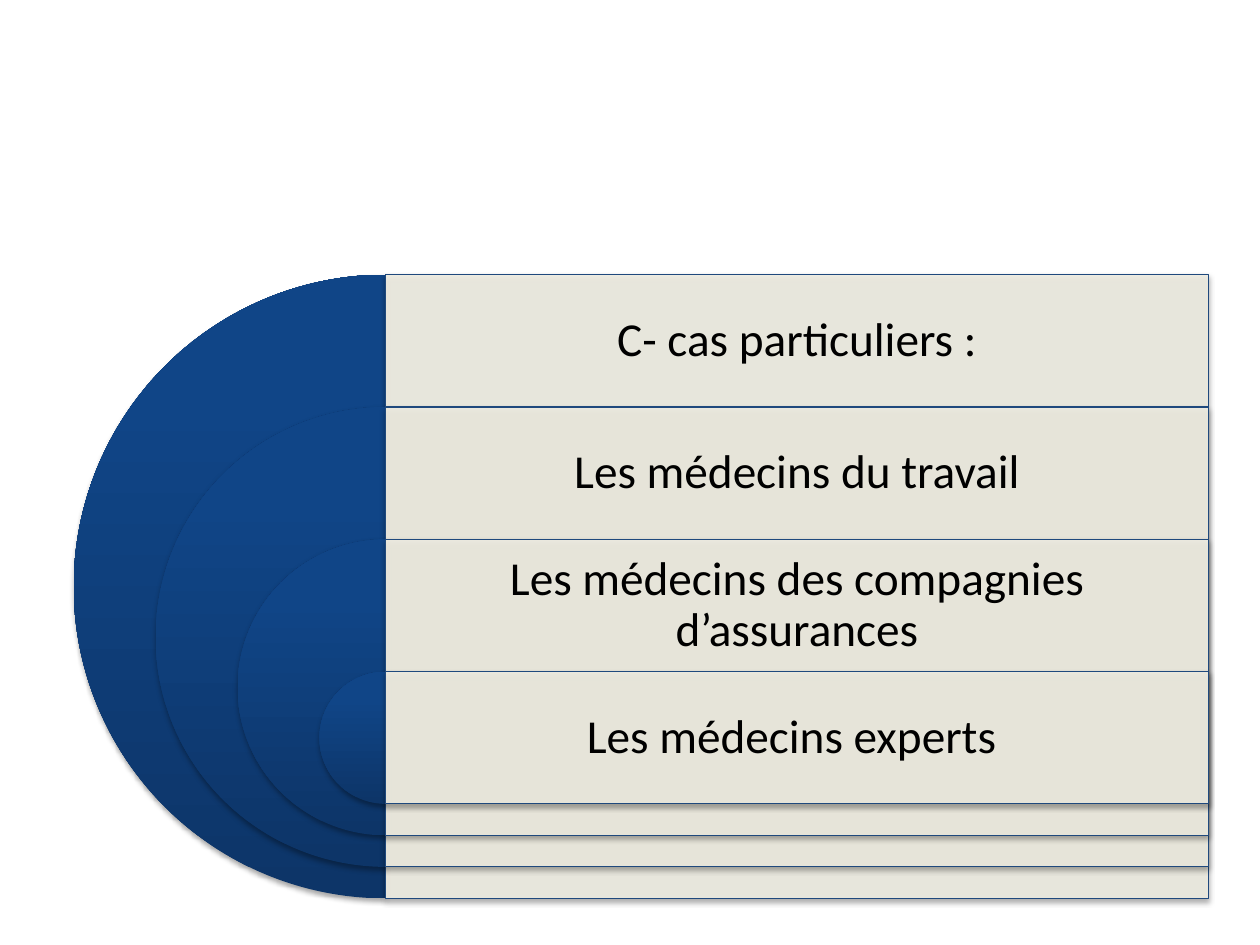
from copy import deepcopy

from lxml.etree import SubElement
from pptx import Presentation
from pptx.dml.color import RGBColor
from pptx.enum.shapes import MSO_SHAPE as Shape
from pptx.enum.text import MSO_ANCHOR as Anchor, PP_ALIGN as Align
from pptx.oxml.ns import qn
from pptx.util import Inches, Pt

TOPICS = [
    "C- cas particuliers :",
    "Les médecins du travail",
    "Les médecins des compagnies d’assurances",
    "Les médecins experts ",
]

BLACK = RGBColor(0x00, 0x00, 0x00)
CREAM = RGBColor(0xEE, 0xEC, 0xE1)
NAVY = RGBColor(0x1F, 0x49, 0x7D)
DISC_STOPS = [
    (0, RGBColor(0x0D, 0x35, 0x68)),
    (0.8, RGBColor(0x10, 0x45, 0x87)),
    (1, RGBColor(0x0E, 0x45, 0x8A)),
]

CENTER_X, TOP = 3.06, 2.18
PANEL_WIDTH, ROW_HEIGHT = 6.53, 1.05
OUTER_DIAMETER, DIAMETER_STEP = 4.95, 1.3
TEXT_INSET = 0.11


def add_shadow(shape):
    shape.shadow.inherit = False
    effects = shape._element.spPr.find(qn("a:effectLst"))
    shadow = SubElement(effects, qn("a:outerShdw"), blurRad=str(Pt(3.1)),
                        dist=str(Pt(1.8)), dir="5400000", rotWithShape="0")
    color = SubElement(shadow, qn("a:srgbClr"), val=str(BLACK))
    SubElement(color, qn("a:alpha"), val="35000")


def add_half_disc(shapes, top, diameter):
    disc = shapes.add_shape(Shape.PIE, Inches(CENTER_X - diameter / 2), Inches(top),
                            Inches(diameter), Inches(diameter))
    # Angles in units of 100000/60000 degree: from 90 to 270 degrees
    disc.adjustments[0], disc.adjustments[1] = 54, 162
    disc.fill.gradient()
    disc.fill.gradient_angle = 90
    stop_list = disc._element.spPr.find(".//" + qn("a:gsLst"))
    stop_list.append(deepcopy(stop_list[-1]))
    for stop, (position, color) in zip(disc.fill.gradient_stops, DISC_STOPS):
        stop.position = position
        stop.color.rgb = color
    disc.line.fill.background()
    add_shadow(disc)


def add_panel(shapes, top, height):
    panel = shapes.add_shape(Shape.RECTANGLE, Inches(CENTER_X), Inches(top),
                             Inches(PANEL_WIDTH), Inches(height))
    panel.fill.solid()
    panel.fill.fore_color.rgb = CREAM
    color = panel._element.spPr.find(qn("a:solidFill"))[0]
    SubElement(color, qn("a:alpha"), val="90000")
    panel.line.color.rgb = NAVY
    panel.line.width = Pt(0.75)
    add_shadow(panel)


def add_label(shapes, top, topic):
    label = shapes.add_textbox(Inches(CENTER_X), Inches(top),
                               Inches(PANEL_WIDTH), Inches(ROW_HEIGHT))
    frame = label.text_frame
    frame.word_wrap = True
    frame.vertical_anchor = Anchor.MIDDLE
    frame.margin_left = frame.margin_right = Inches(TEXT_INSET)
    frame.margin_top = frame.margin_bottom = Inches(TEXT_INSET)
    frame.text = topic
    paragraph = frame.paragraphs[0]
    paragraph.alignment = Align.CENTER
    paragraph.line_spacing = 0.9
    font = paragraph.runs[0].font
    font.name, font.size = "Calibri", Pt(27)
    font.color.rgb = BLACK


def main():
    deck = Presentation()
    deck.slide_width, deck.slide_height = Inches(10), Inches(7.5)
    slide = deck.slides.add_slide(deck.slide_layouts[6])
    target = slide.shapes.add_group_shape().shapes
    for row, topic in enumerate(TOPICS):
        top = TOP + row * ROW_HEIGHT
        diameter = OUTER_DIAMETER - row * DIAMETER_STEP
        add_half_disc(target, top, diameter)
        add_panel(target, top, diameter)
        add_label(target, top, topic)
    deck.save("out.pptx")


if __name__ == "__main__":
    main()
